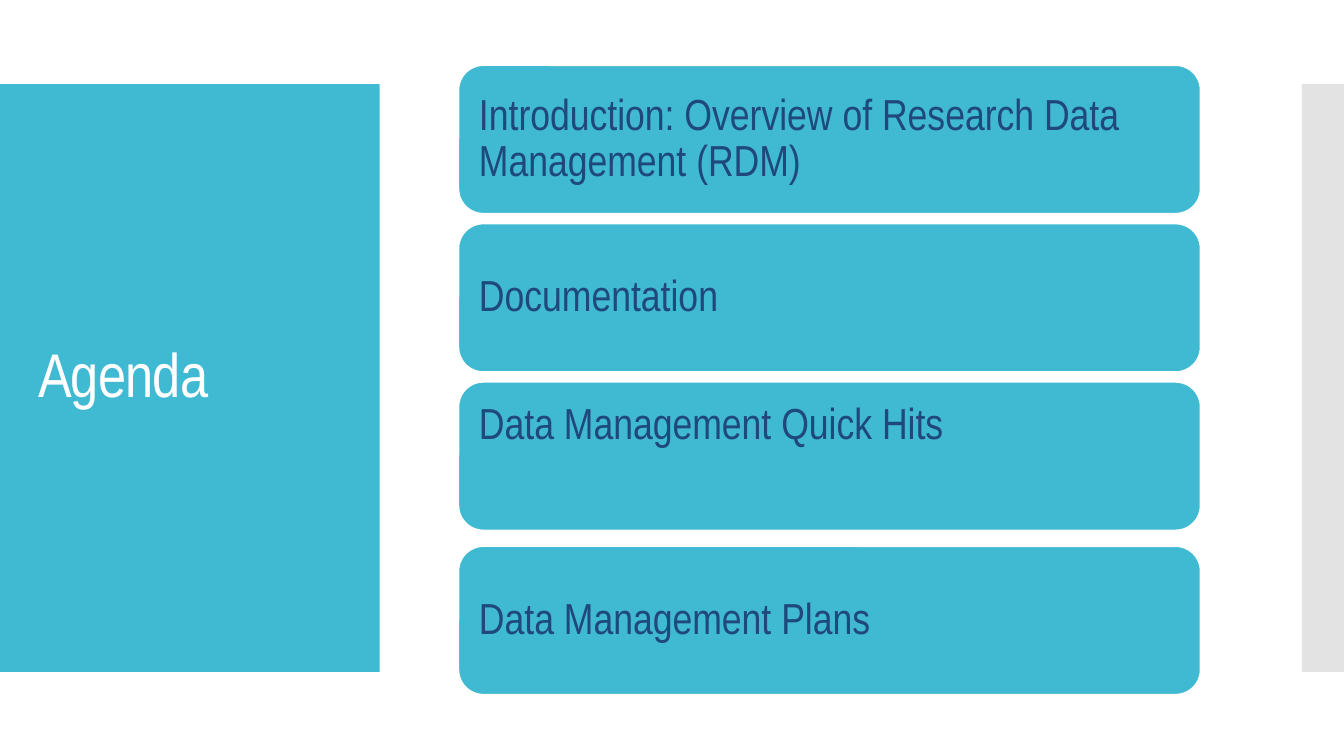
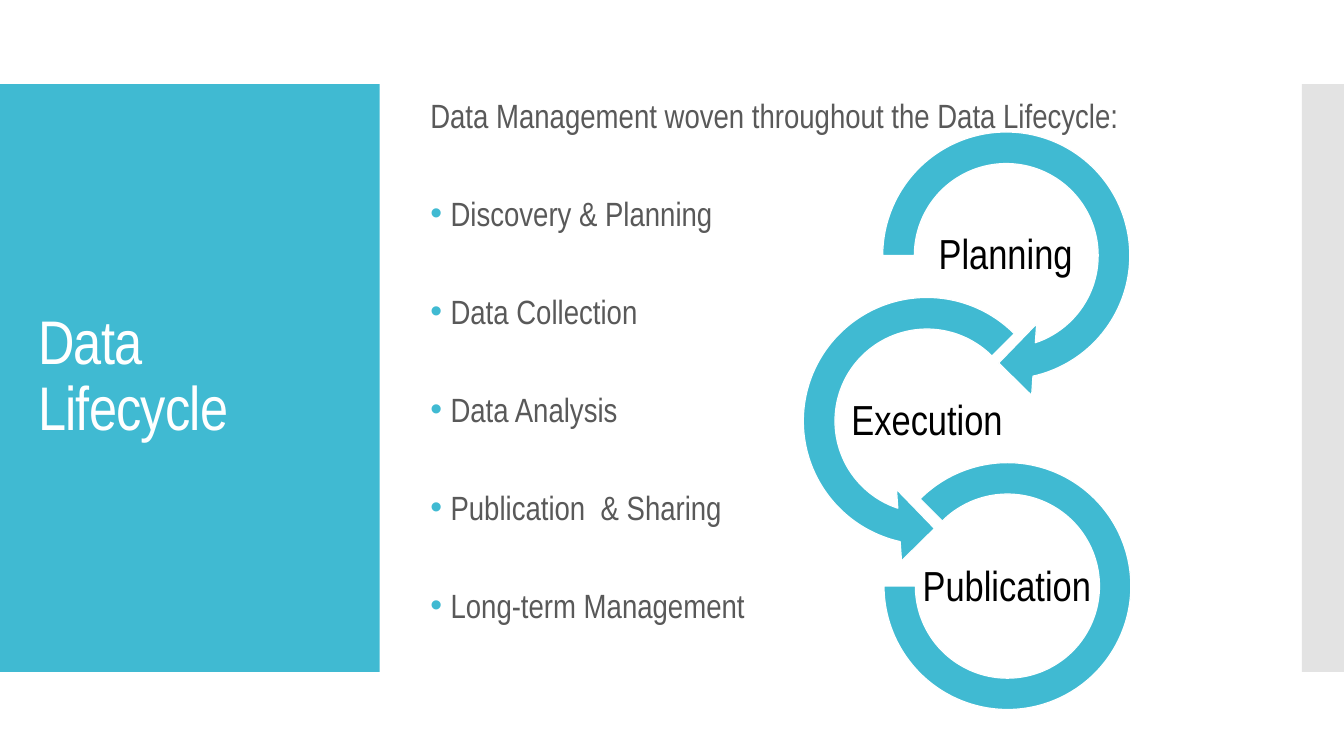
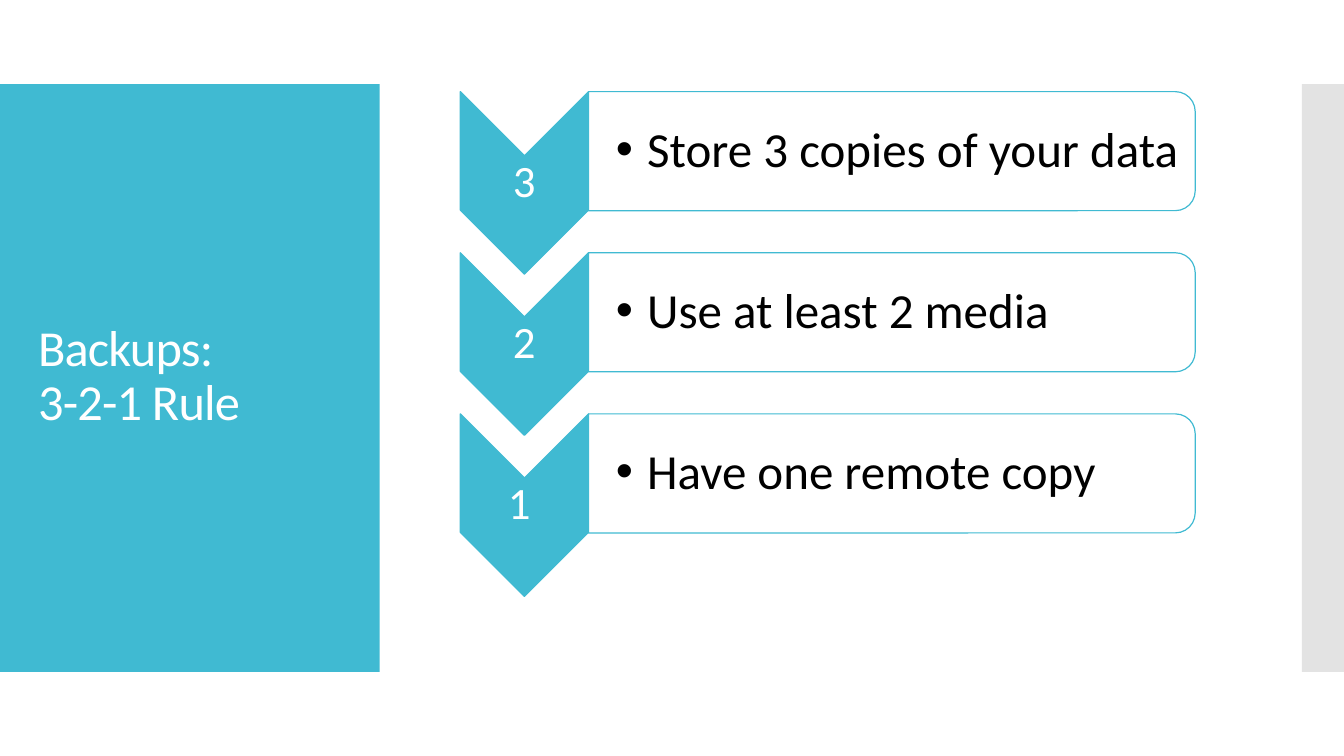
from lxml.etree import SubElement
from pptx import Presentation
from pptx.dml.color import RGBColor
from pptx.enum.shapes import MSO_SHAPE
from pptx.enum.text import MSO_ANCHOR, MSO_AUTO_SIZE, PP_ALIGN
from pptx.oxml.ns import qn
from pptx.util import Cm, Pt

TEAL = RGBColor(0x40, 0xBA, 0xD2)
GREY = RGBColor(0xC8, 0xC8, 0xC8)
WHITE = RGBColor(0xFF, 0xFF, 0xFF)
BLACK = RGBColor(0x00, 0x00, 0x00)
NAVY = RGBColor(0x1F, 0x49, 0x7D)
TEXT_GREY = RGBColor(0x59, 0x59, 0x59)
NARROW = "Arial Narrow"
CALIBRI = "Calibri"
TITLE_AND_BODY, TITLE_ONLY = 1, 5


def place(sp, box):
    sp.left, sp.top, sp.width, sp.height = (Cm(v) for v in box)


def setup_frame(sp, anchor=MSO_ANCHOR.MIDDLE, insets=None):
    tf = sp.text_frame
    tf.word_wrap = True
    tf.auto_size = MSO_AUTO_SIZE.NONE
    tf.vertical_anchor = anchor
    if insets:
        tf.margin_left, tf.margin_top, tf.margin_right, tf.margin_bottom = (
            Cm(v) for v in insets)
    return tf


def add_run(p, text, font, size, color):
    r = p.add_run()
    r.text = text
    r.font.name = font
    r.font.size = Pt(size)
    r.font.color.rgb = color
    return r


def format_paragraph(p, align=PP_ALIGN.LEFT, spacing=0.9, before=0):
    p.alignment = align
    p.line_spacing = spacing
    p.space_before = Pt(before)
    p.space_after = Pt(0)


def set_bullet(p, indent=0, color=None):
    pPr = p._p.get_or_add_pPr()
    pPr.set("marL", str(Cm(indent)))
    pPr.set("indent", str(-Cm(indent)))
    if not indent:
        SubElement(pPr, qn("a:buNone"))
        return
    if color:
        clr = SubElement(pPr, qn("a:buClr"))
        SubElement(clr, qn("a:srgbClr")).set("val", str(color))
    SubElement(pPr, qn("a:buFont")).set("typeface", "Arial")
    SubElement(pPr, qn("a:buChar")).set("char", "•")


def add_shape(s, kind, box, fill=TEAL, line=WHITE, adj=(), quarter_turn=False):
    left, top, width, height = box
    if quarter_turn:
        left, top = left + (width - height) / 2, top + (height - width) / 2
        width, height = height, width
    sp = s.shapes.add_shape(kind, Cm(left), Cm(top), Cm(width), Cm(height))
    sp.shadow.inherit = False
    sp.rotation = 90 if quarter_turn else 0
    for i, value in enumerate(adj):
        sp.adjustments[i] = value
    sp.fill.solid()
    sp.fill.fore_color.rgb = fill
    if line is None:
        sp.line.fill.background()
    else:
        sp.line.color.rgb = line
        sp.line.width = Pt(0.85)
    return sp


def add_label(s, box, text, font, size, color):
    sp = s.shapes.add_textbox(*(Cm(v) for v in box))
    tf = setup_frame(sp, insets=(0.05,) * 4)
    p = tf.paragraphs[0]
    format_paragraph(p, PP_ALIGN.CENTER)
    add_run(p, text, font, size, color)


def setup_master(prs, s):
    master = prs.slide_master
    title = master.placeholders[0]
    place(title, (0.71, 3.12, 8.18, 12.78))
    setup_frame(title, insets=(0.25, 0.13, 0.5, 0.13))
    panel = add_shape(s, MSO_SHAPE.RECTANGLE, (0, 2.12, 9.57, 14.81), line=None)
    strip = add_shape(s, MSO_SHAPE.RECTANGLE, (32.81, 2.12, 1.06, 14.81), GREY, None)
    color = strip.element.spPr.find(qn("a:solidFill"))[0]
    SubElement(color, qn("a:alpha")).set("val", "50000")
    for shape_id, band in enumerate((panel, strip), 20):
        band.element.nvSpPr.cNvPr.set("id", str(shape_id))
        master.shapes.element.append(band.element)


def add_slide(prs, layout, lines, font=NARROW, size=44):
    s = prs.slides.add_slide(prs.slide_layouts[layout])
    p = s.shapes.title.text_frame.paragraphs[0]
    format_paragraph(p)
    for i, line in enumerate(lines):
        if i:
            p.add_line_break()
        r = add_run(p, line, font, size, WHITE)
        r.font._element.set("spc", "-60")
    return s


def build_agenda(prs):
    s = add_slide(prs, TITLE_ONLY, ["Agenda"])
    topics = [
        (1.65, "Introduction: Overview of Research Data Management (RDM)", MSO_ANCHOR.MIDDLE),
        (5.64, "Documentation", MSO_ANCHOR.MIDDLE),
        (9.63, "Data Management Quick Hits", MSO_ANCHOR.TOP),
        (13.77, "Data Management Plans", MSO_ANCHOR.MIDDLE),
    ]
    for top, text, anchor in topics:
        sp = add_shape(s, MSO_SHAPE.ROUNDED_RECTANGLE, (11.56, top, 18.69, 3.73))
        p = setup_frame(sp, anchor, (0.33,) * 4).paragraphs[0]
        format_paragraph(p)
        add_run(p, text, NARROW, 31, NAVY)
    return s


def build_lifecycle(prs):
    s = add_slide(prs, TITLE_AND_BODY, ["Data Lifecycle"])
    body = s.placeholders[1]
    place(body, (10.59, 2.46, 20.32, 13.8))
    tf = setup_frame(body, MSO_ANCHOR.TOP)
    p = tf.paragraphs[0]
    format_paragraph(p, spacing=0.8)
    set_bullet(p)
    add_run(p, "Data Management woven throughout the Data Lifecycle:", NARROW, 24, TEXT_GREY)
    for text in ("Discovery & Planning", "Data Collection", "Data Analysis",
                 "Publication  & Sharing", "Long-term Management"):
        p = tf.add_paragraph()
        format_paragraph(p, spacing=0.8, before=47)
        set_bullet(p, 0.51, TEAL)
        add_run(p, text, NARROW, 24, TEXT_GREY)

    stages = [
        (MSO_SHAPE.CIRCULAR_ARROW, (21.74, 2.82, 7.24, 7.24),
         (0.11, 11.42, 45, 108, 0.125), "Planning", (23.34, 5.44, 4.01, 2.01)),
        (MSO_SHAPE.LEFT_CIRCULAR_ARROW, (19.74, 6.99, 7.24, 7.24),
         (0.11, 11.42, 63, 189, 0.125), "Execution", (21.36, 9.63, 4.01, 2.01)),
        (MSO_SHAPE.BLOCK_ARC, (22.28, 11.66, 6.22, 6.22),
         (135, 108, 0.127), "Publication", (23.04, 13.82, 4.67, 2.01)),
    ]
    for kind, box, adj, text, label_box in stages:
        add_shape(s, kind, box, adj=adj)
        add_label(s, label_box, text, NARROW, 30, BLACK)


def build_backups(prs):
    s = add_slide(prs, TITLE_ONLY, ["Backups:", "3-2-1 Rule"], CALIBRI, 36)
    rules = [("3", "Store 3 copies of your data"),
             ("2", "Use at least 2 media"),
             ("1 ", "Have one remote copy")]
    for i, (number, text) in enumerate(rules):
        top = 2.31 + 4.06 * i
        add_shape(s, MSO_SHAPE.CHEVRON, (11.6, top, 3.23, 4.6),
                  line=TEAL, quarter_turn=True)
        add_label(s, (11.6, top + 1.62, 3.23, 1.37), number, CALIBRI, 32, WHITE)
        add_shape(s, MSO_SHAPE.ROUND_2_SAME_RECTANGLE, (14.83, top, 15.29, 3),
                  WHITE, TEAL, quarter_turn=True)
        sp = s.shapes.add_textbox(Cm(14.83), Cm(top + 0.15), Cm(15.14), Cm(2.7))
        p = setup_frame(sp, insets=(0.69, 0.05, 0.05, 0.05)).paragraphs[0]
        format_paragraph(p)
        set_bullet(p, 0.79)
        add_run(p, text, CALIBRI, 35, BLACK)


def main():
    prs = Presentation()
    prs.slide_width, prs.slide_height = Cm(33.87), Cm(19.05)
    agenda = build_agenda(prs)
    setup_master(prs, agenda)
    build_lifecycle(prs)
    build_backups(prs)
    prs.save("out.pptx")


if __name__ == "__main__":
    main()
